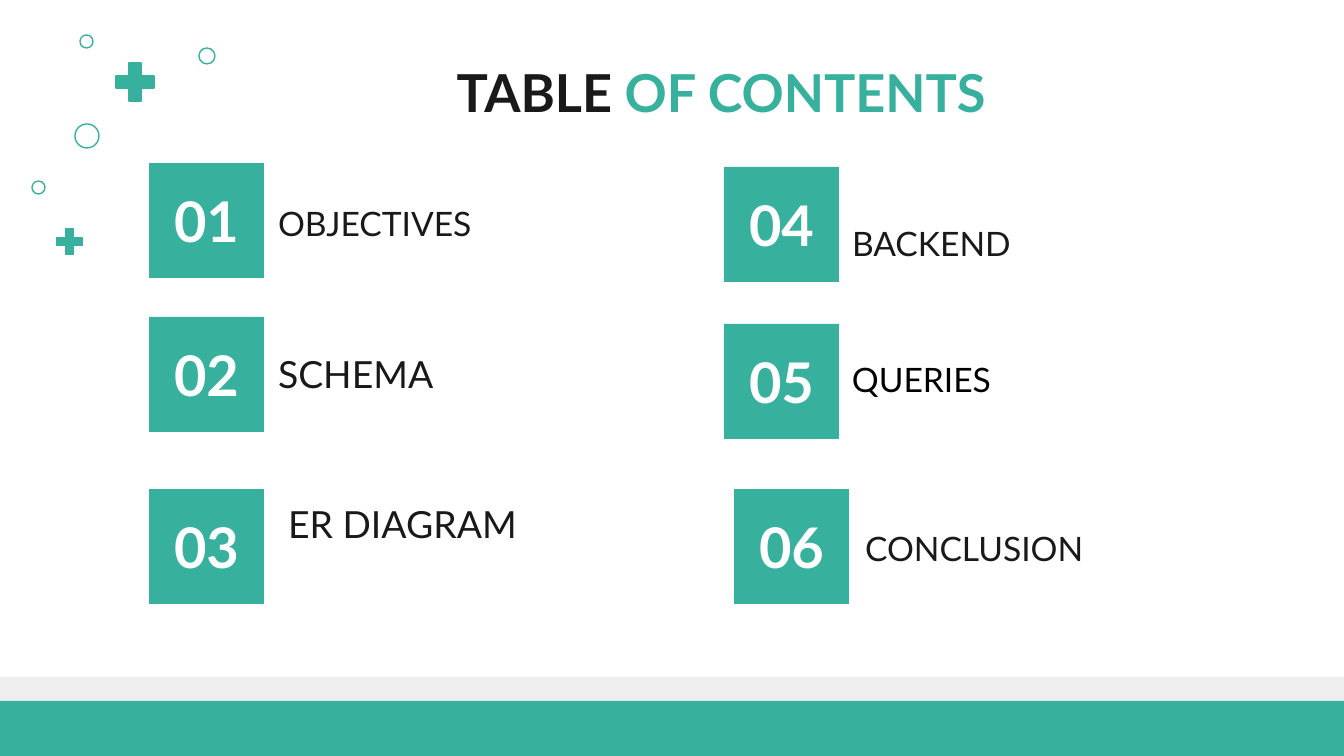
from pptx import Presentation
from pptx import util as u
from pptx.dml.color import RGBColor
from pptx.enum import shapes, text

PX = 914400 / 134.4
TEAL = RGBColor(0x37, 0xB1, 0x9D)
GREY = RGBColor(0xEF, 0xEF, 0xEF)
INK = RGBColor(0x19, 0x19, 0x19)
BLACK = RGBColor(0, 0, 0)
WHITE = RGBColor(0xFF, 0xFF, 0xFF)
FONT = "Lato"
INSET = 13
TILE = 115

BARS = [(677, 51, GREY), (701, 55, TEAL)]
PLUSES = [(109, 56, 52), (52, 224, 35)]
CIRCLES = [(75, 124, 24), (199, 48, 16), (32, 181, 13), (80, 35, 13)]

# number, tile left and top
TILES = [
    ("01", 149, 163), ("02", 149, 317), ("03", 149, 489),
    ("04", 724, 167), ("05", 724, 324), ("06", 734, 489),
]
# topic, box, size, colour
TOPICS = [
    ("OBJECTIVES", (265, 187, 399, 69), 18, INK),
    ("SCHEMA", (265, 340, 399, 69), 20, INK),
    ("ER DIAGRAM", (275, 504, 277, 55), 20, INK),
    ("BACKEND", (839, 207, 399, 69), 18, INK),
    ("CONCLUSION", (852, 512, 399, 69), 18, INK),
]


def px(*lengths):
    """Turn px lengths into EMU."""
    return [u.Emu(round(length * PX)) for length in lengths]


def write(shape, runs, size, align, anchor, inset_y=INSET):
    """Fill a shape with one bold or plain line of (words, colour, bold) runs."""
    frame = shape.text_frame
    frame.word_wrap = True
    frame.vertical_anchor = anchor
    frame.margin_left, frame.margin_right = px(INSET, INSET)
    frame.margin_top, frame.margin_bottom = px(inset_y, inset_y)
    line = frame.paragraphs[0]
    line.alignment = align
    for words, colour, bold in runs:
        run = line.add_run()
        run.text = words
        run.font.name = FONT
        run.font.size = u.Pt(size)
        run.font.bold = bold
        run.font.color.rgb = colour


def add_figure(slide, kind, box, fill=None, outline=None):
    figure = slide.shapes.add_shape(kind, *px(*box))
    figure.shadow.inherit = False
    if fill is None:
        figure.fill.background()
    else:
        figure.fill.solid()
        figure.fill.fore_color.rgb = fill
    if outline is None:
        figure.line.fill.background()
    else:
        figure.line.color.rgb = outline
        figure.line.width = u.Pt(0.75)
    return figure


def add_tile(slide, number, left, top):
    tile = add_figure(slide, shapes.MSO_SHAPE.RECTANGLE,
                      (left, top, TILE, TILE), TEAL)
    write(tile, [(number, WHITE, True)], 30,
          text.PP_ALIGN.CENTER, text.MSO_ANCHOR.MIDDLE)


def add_topic(slide, topic, box, size, colour,
              anchor=text.MSO_ANCHOR.BOTTOM, inset_y=INSET):
    label = slide.shapes.add_textbox(*px(*box))
    write(label, [(topic, colour, False)], size,
          text.PP_ALIGN.LEFT, anchor, inset_y)


def add_heading(slide):
    heading = slide.shapes.add_textbox(*px(192, 47, 1058, 83))
    write(heading, [("TABLE ", INK, True), ("OF CONTENTS", TEAL, True)], 28,
          text.PP_ALIGN.CENTER, text.MSO_ANCHOR.TOP)


def add_decoration(slide):
    for left, top, size in PLUSES:
        add_figure(slide, shapes.MSO_SHAPE.MATH_PLUS,
                   (left, top, size, size), TEAL, TEAL)
    for left, top, size in CIRCLES:
        add_figure(slide, shapes.MSO_SHAPE.OVAL,
                   (left, top, size, size), outline=TEAL)


def main():
    deck = Presentation()
    deck.slide_width, deck.slide_height = px(1344, 756)
    slide = deck.slides.add_slide(deck.slide_layouts[6])

    for top, height, colour in BARS:
        add_figure(slide, shapes.MSO_SHAPE.RECTANGLE,
                   (0, top, 1347, height), colour)
    for topic in TOPICS:
        add_topic(slide, *topic)
    add_topic(slide, "QUERIES", (839, 352, 278, 95), 18, BLACK,
              text.MSO_ANCHOR.TOP, 7)
    for tile in TILES:
        add_tile(slide, *tile)
    add_heading(slide)
    add_decoration(slide)
    deck.save("out.pptx")


if __name__ == "__main__":
    main()
